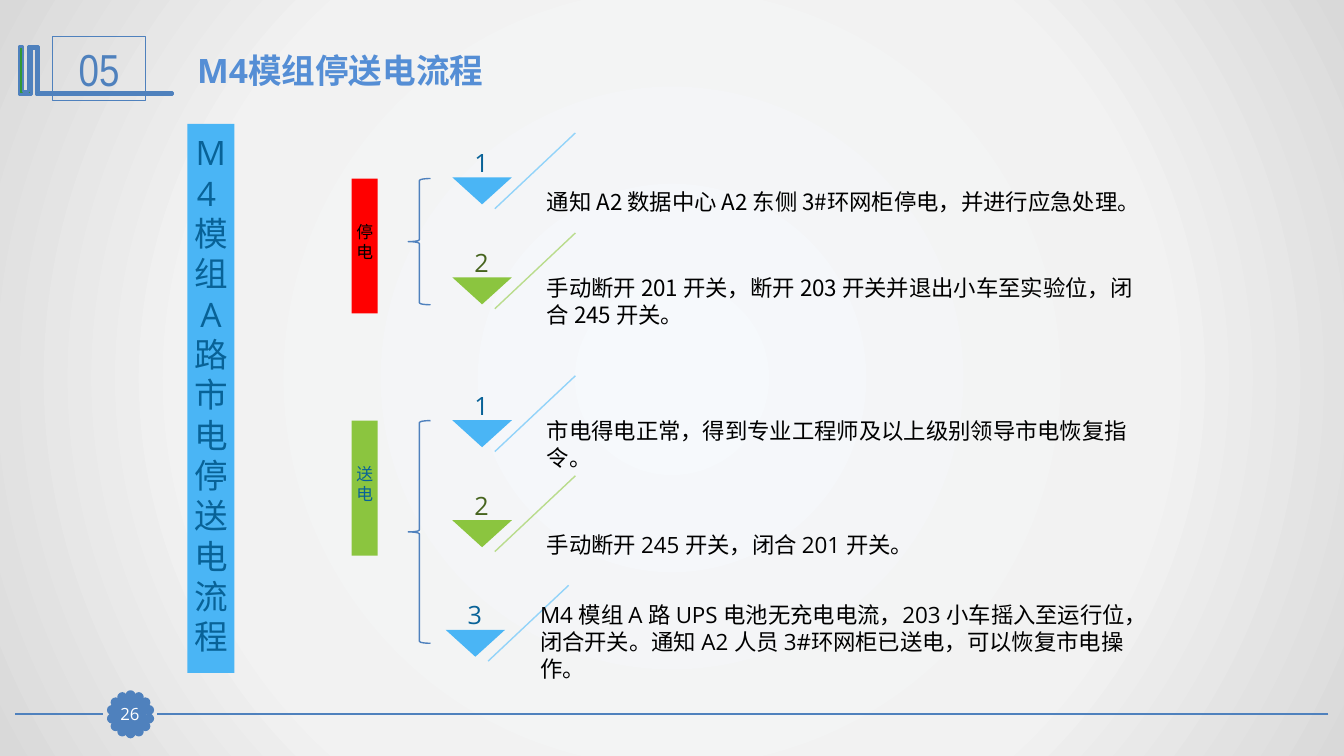
from math import cos, pi, sin

from pptx import Presentation
from pptx.dml.color import RGBColor
from pptx.enum.shapes import MSO_CONNECTOR, MSO_SHAPE
from pptx.enum.text import MSO_ANCHOR, PP_ALIGN
from pptx.oxml import parse_xml
from pptx.oxml.ns import nsdecls, qn
from pptx.util import Cm, Pt

COLORS = {
    "frame": "4F81BD", "ornament": "339933", "title": "558ED5",
    "blue": "4AB5F5", "pale blue": "92D3F9", "dark blue": "086297",
    "green": "8BC53F", "pale green": "B9DC8C", "dark green": "46641E",
    "red": "FF0000", "black": "000000", "white": "FFFFFF",
}
BACKDROP = ((0, "F6F9FC"), (63, "F2F2F2"), (100, "D9D9D9"))
CJK_FONT = "Noto Sans CJK SC"
NO_INSETS = (0, 0, 0, 0)
TAG_INSETS = (0, 0, 0, 0.2)
TEXT_INSETS = (0.25, 0.13, 0.25, 0.13)


def color(name):
    """Return the named colour."""
    return RGBColor.from_string(COLORS[name])


def write_text(shape, text, size=16, font="Open Sans", ink="black", bold=False,
               align=PP_ALIGN.LEFT, anchor=MSO_ANCHOR.MIDDLE,
               insets=TEXT_INSETS, leading=None):
    """Write text into a shape, one paragraph per line."""
    frame = shape.text_frame
    frame.word_wrap = True
    frame.vertical_anchor = anchor
    (frame.margin_left, frame.margin_top,
     frame.margin_right, frame.margin_bottom) = map(Cm, insets)
    frame.text = text
    for paragraph in frame.paragraphs:
        paragraph.alignment = align
        if leading:
            paragraph.line_spacing = Pt(size * leading)
        for run in paragraph.runs:
            run.font.size = Pt(size)
            run.font.name = font
            run.font.bold = bold
            run.font.color.rgb = color(ink)
            east_asian = parse_xml(f'<a:ea {nsdecls("a")} typeface="{CJK_FONT}"/>')
            run.font._element.find(qn("a:latin")).addnext(east_asian)


class SlideBuilder:
    """Holds the current slide and draws elements in its style."""

    def __init__(self, slide):
        """Keep the slide to draw on."""
        self.slide = slide

    def backdrop(self, stops):
        """Fill the background with a circular gradient."""
        marks = "".join(
            f'<a:gs pos="{place * 1000}"><a:srgbClr val="{tone}"/></a:gs>'
            for place, tone in stops)
        self.slide.background.fill.solid()
        properties = self.slide.background._cSld.bg.bgPr
        gradient = parse_xml(
            f'<a:gradFill {nsdecls("a")} rotWithShape="1"><a:gsLst>{marks}</a:gsLst>'
            '<a:path path="circle"><a:fillToRect l="50000" t="50000" r="50000" '
            'b="50000"/></a:path></a:gradFill>')
        properties.replace(properties.find(qn("a:solidFill")), gradient)

    def paint(self, shape, fill=None, line=None, line_width=0.75):
        """Set fill and outline, and drop the shadow."""
        shape.shadow.inherit = False
        if fill:
            shape.fill.solid()
            shape.fill.fore_color.rgb = color(fill)
        else:
            shape.fill.background()
        if line:
            shape.line.color.rgb = color(line)
            shape.line.width = Pt(line_width)
        else:
            shape.line.fill.background()
        return shape

    def preset(self, kind, left, top, width, height, **paint):
        """Draw a preset shape."""
        shape = self.slide.shapes.add_shape(
            kind, Cm(left), Cm(top), Cm(width), Cm(height))
        return self.paint(shape, **paint)

    def outline(self, points, **paint):
        """Draw a closed polygon through the points."""
        corners = [(Cm(x), Cm(y)) for x, y in points]
        builder = self.slide.shapes.build_freeform(*corners[0], scale=1.0)
        builder.add_line_segments(corners[1:], close=True)
        return self.paint(builder.convert_to_shape(), **paint)

    def line(self, start, end, tone, line_width):
        """Draw a straight line."""
        connector = self.slide.shapes.add_connector(
            MSO_CONNECTOR.STRAIGHT, *map(Cm, start + end))
        connector.line.color.rgb = color(tone)
        connector.line.width = Pt(line_width)
        connector._element.spPr.append(parse_xml(f'<a:effectLst {nsdecls("a")}/>'))

    def text(self, text, left, top, width, height, **style):
        """Add a text box."""
        box = self.slide.shapes.add_textbox(
            Cm(left), Cm(top), Cm(width), Cm(height))
        write_text(box, text, **style)

    def tag(self, text, left, top, width, height, fill, ink, size):
        """Draw a narrow bar whose text runs downwards."""
        bar = self.preset(MSO_SHAPE.RECTANGLE, left, top, width, height, fill=fill)
        write_text(bar, text, size=size, ink=ink, align=PP_ALIGN.CENTER,
                   insets=TAG_INSETS, leading=1.2)

    def step(self, number, text, left, top, family, text_middle=0.6, font="Open Sans"):
        """Draw a numbered step: slanted line, triangle, text and number."""
        self.line((left + 3.1, top - 1.12), (left + 1.07, top + 0.79),
                  f"pale {family}", 1)
        self.outline([(left, top), (left + 1.5, top), (left + 0.75, top + 0.68)],
                     fill=family)
        self.text(text, left + 2.13, top + text_middle - 0.87, 15.42, 1.74,
                  font=font, leading=1.2)
        self.text(str(number), left - 0.05, top - 1.52, 1.57, 1.52, size=18,
                  ink=f"dark {family}", align=PP_ALIGN.CENTER,
                  anchor=MSO_ANCHOR.BOTTOM, insets=NO_INSETS)


def draw_frame(builder):
    """Draw the footer with its page badge, and the header."""
    for start, end in ((33.48, 3.96), (2.59, 0.38)):
        builder.line((start, 18), (end, 18), "frame", 1.25)
    petals = 14
    for petal in range(petals):
        angle = 2 * pi * petal / petals
        builder.preset(MSO_SHAPE.OVAL, 3.2 + 0.48 * sin(angle),
                       17.91 - 0.48 * cos(angle), 0.18, 0.18,
                       fill="frame", line="frame", line_width=2)
    builder.outline(
        [(0.94, 1.17), (0.97, 1.17), (0.97, 2.34), (4.34, 2.34), (4.34, 2.39),
         (0.91, 2.39), (0.91, 1.22), (0.79, 1.22), (0.79, 2.39), (0.48, 2.39),
         (0.48, 1.17), (0.58, 1.17), (0.58, 2.31), (0.71, 2.31), (0.71, 1.17)],
        fill="ornament", line="frame", line_width=2)
    section = builder.preset(MSO_SHAPE.RECTANGLE, 1.32, 0.91, 2.36, 1.63, line="frame")
    write_text(section, "05", size=32, font="Arial Narrow", ink="frame",
               align=PP_ALIGN.CENTER)
    badge = builder.preset(MSO_SHAPE.RECTANGLE, 2.87, 17.6, 0.81, 0.79,
                           fill="frame", line="frame")
    write_text(badge, "26", size=12, ink="white", align=PP_ALIGN.CENTER,
               insets=NO_INSETS)
    builder.text("M4模组停送电流程", 4.72, 1.12, 24.61, 1.27, size=24,
                 ink="title", bold=True)


def draw_process(builder):
    """Draw the power-off and power-on procedures."""
    builder.tag("M4 \n模组 A 路市电停送电流程", 4.72, 3.12, 1.19, 13.84,
                "blue", "dark blue", 24)
    for text, top, brace_height, fill, ink in (
            ("停电", 4.5, 3.18, "red", "black"),
            ("送电", 10.6, 5.61, "green", "dark blue")):
        builder.tag(text, 8.86, top, 0.66, 3.4, fill, ink, 12)
        builder.preset(MSO_SHAPE.LEFT_BRACE, 10.29, top, 0.56, brace_height,
                       line="frame", line_width=1)

    left = 11.4
    builder.step(1, "通知 A2 数据中心 A2 东侧 3#环网柜停电，并进行应急处理。",
                 left, 4.47, "blue", font=CJK_FONT)
    builder.step(2, "手动断开 201 开关，断开 203 开关并退出小车至实验位，闭合 245 开关。",
                 left, 6.99, "green", font=CJK_FONT)
    builder.step(1, "市电得电正常，得到专业工程师及以上级别领导市电恢复指\n令。",
                 left, 10.59, "blue")
    builder.step(2, "手动断开 245 开关，闭合 201 开关。", left, 13.11, "green")
    builder.step(3, "M4 模组 A 路 UPS 电池无充电电流，203 小车摇入至运行位，闭合开关。"
                 "通知 A2 人员 3#环网柜已送电，可以恢复市电操作。",
                 left - 0.17, 15.87, "blue", text_middle=0.3)


def main():
    """Build and save the presentation."""
    presentation = Presentation()
    presentation.slide_width, presentation.slide_height = Cm(33.87), Cm(19.05)
    builder = SlideBuilder(presentation.slides.add_slide(presentation.slide_layouts[6]))
    builder.backdrop(BACKDROP)
    draw_frame(builder)
    draw_process(builder)
    presentation.save("out.pptx")


main()
